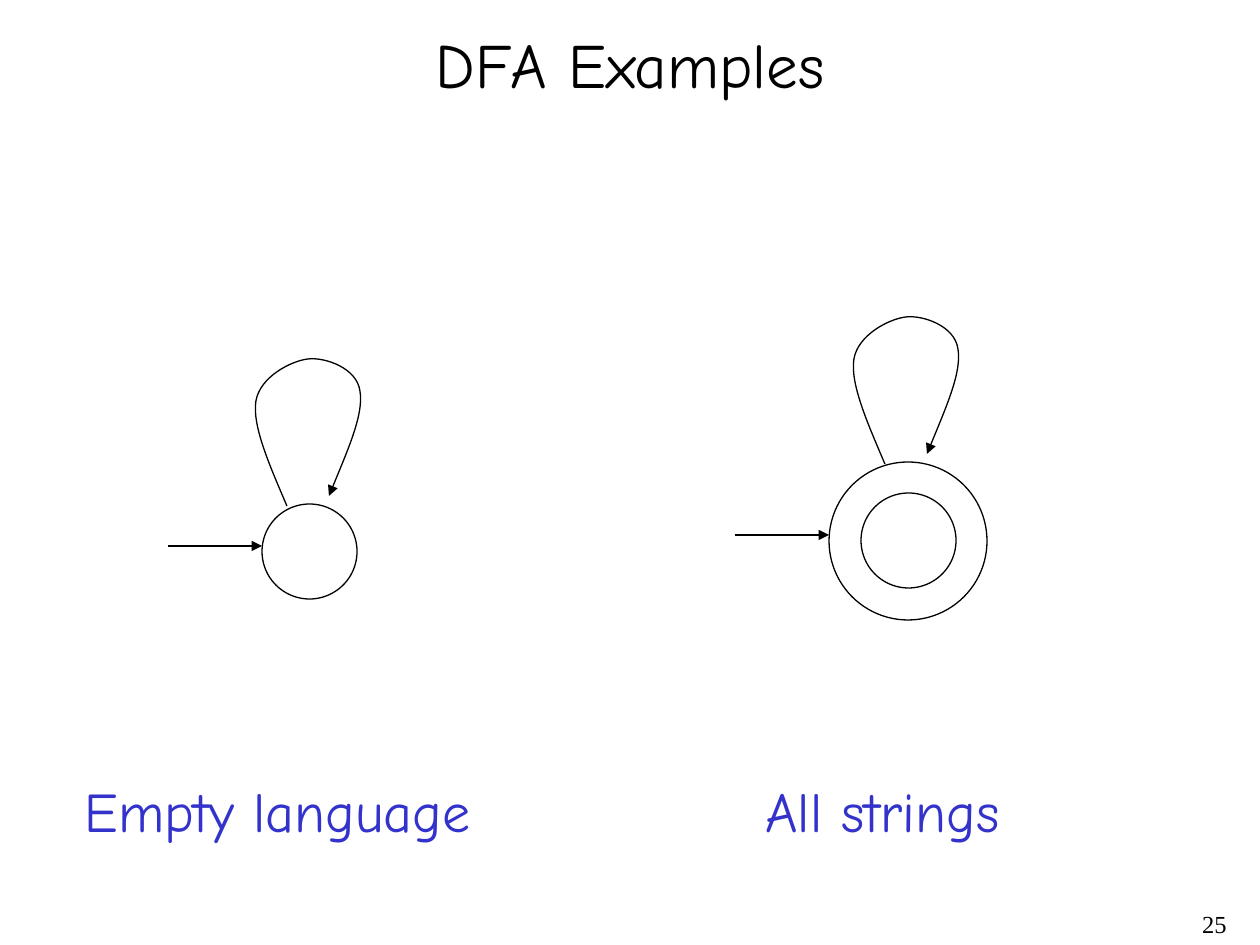
"""Build a slide with two one-state automata and their languages."""
from lxml.etree import SubElement
from pptx import Presentation
from pptx.dml.color import RGBColor as RGB
from pptx.enum.shapes import MSO_CONNECTOR as Link, MSO_SHAPE as Form
from pptx.enum.text import MSO_ANCHOR as Anchor, MSO_AUTO_SIZE as Fit, PP_ALIGN as Align
from pptx.oxml.ns import qn
from pptx.util import Pt

TITLE = ("DFA Examples", (21, 21, 1218, 84))
NUMBER = ("25", (977, 903, 262, 42))
MODELS = [
    {"rings": [(262, 504, 95)], "entry": (168, 546), "loop": (252, 357),
     "label": ("Empty language", (72, 770, 427, 79))},
    {"rings": [(829, 462, 158), (861, 493, 95)], "entry": (735, 535), "loop": (850, 315),
     "label": ("All strings", (753, 770, 296, 79))},
]
LOOP = [(35, 149), (18, 109), (0, 69), (4, 44), (8, 20), (39, 4), (56, 2),
        (73, 0), (105, 11), (108, 34), (112, 57), (94, 97), (77, 139)]
ARROW = 94
SCALE = 914400 / 126
BLACK = RGB(0, 0, 0)
THEME = {
    "title": {"name": "Comic Neue", "size": Pt(36), "color": BLACK},
    "label": {"name": "Comic Neue", "size": Pt(32), "color": RGB(0x33, 0x33, 0xCC)},
    "number": {"name": "Times New Roman", "size": Pt(14), "color": BLACK},
    "line": {"color": BLACK, "width": Pt(0.75)},
}


def emu(*vals):
    return [round(val * SCALE) for val in vals]


def write(shape, text, role, align, **form):
    frame = shape.text_frame
    frame.text = text
    for key, val in form.items():
        setattr(frame, key, val)
    para = frame.paragraphs[0]
    para.alignment = align
    style = THEME[role]
    for key in ("name", "size"):
        setattr(para.runs[0].font, key, style[key])
    para.runs[0].font.color.rgb = style["color"]


def stroke(shape, head=False):
    shape.line.color.rgb = THEME["line"]["color"]
    shape.line.width = THEME["line"]["width"]
    props = shape.element.spPr
    if head:
        SubElement(props.find(qn("a:ln")), qn("a:tailEnd"), type="triangle")
    SubElement(props, qn("a:effectLst"))


def curve(shape):
    track = next(shape.element.iter(qn("a:moveTo"))).getparent()
    steps = track.findall(qn("a:lnTo"))
    for i in range(0, len(steps), 3):
        bend = SubElement(track, qn("a:cubicBezTo"))
        for step in steps[i:i + 3]:
            bend.append(step[0])
            track.remove(step)


def draw(shapes, model):
    for left, top, size in model["rings"]:
        ring = shapes.add_shape(Form.OVAL, *emu(left, top, size, size))
        ring.fill.background()
        stroke(ring)
    x, y = model["entry"]
    stroke(shapes.add_connector(Link.STRAIGHT, *emu(x, y, x + ARROW, y)), True)
    left, top = model["loop"]
    dots = [(left + x, top + y) for x, y in LOOP]
    pen = shapes.build_freeform(*dots[0], scale=SCALE)
    pen.add_line_segments(dots[1:], close=False)
    loop = pen.convert_to_shape()
    loop.fill.background()
    curve(loop)
    stroke(loop, True)
    text, box = model["label"]
    write(shapes.add_textbox(*emu(*box)), text, "label", Align.LEFT,
          word_wrap=False, auto_size=Fit.SHAPE_TO_FIT_TEXT)


def main():
    deck = Presentation()
    deck.slide_width, deck.slide_height = emu(1260, 945)
    shapes = deck.slides.add_slide(deck.slide_layouts[5]).shapes
    text, box = TITLE
    title = shapes.title
    title.left, title.top, title.width, title.height = emu(*box)
    write(title, text, "title", Align.CENTER, word_wrap=True,
          auto_size=Fit.NONE, vertical_anchor=Anchor.MIDDLE)
    for model in MODELS:
        draw(shapes, model)
    text, box = NUMBER
    write(shapes.add_textbox(*emu(*box)), text, "number", Align.RIGHT, word_wrap=True)
    deck.save("out.pptx")


if __name__ == "__main__":
    main()
